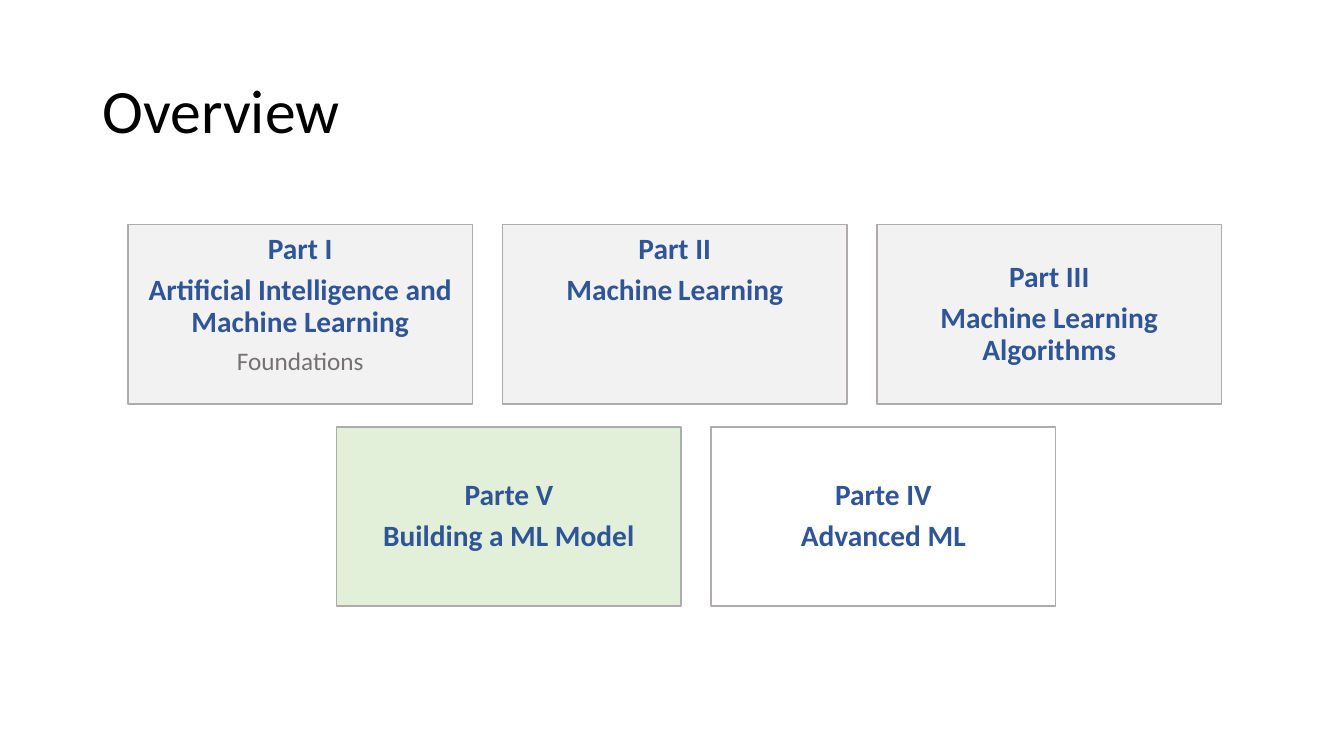
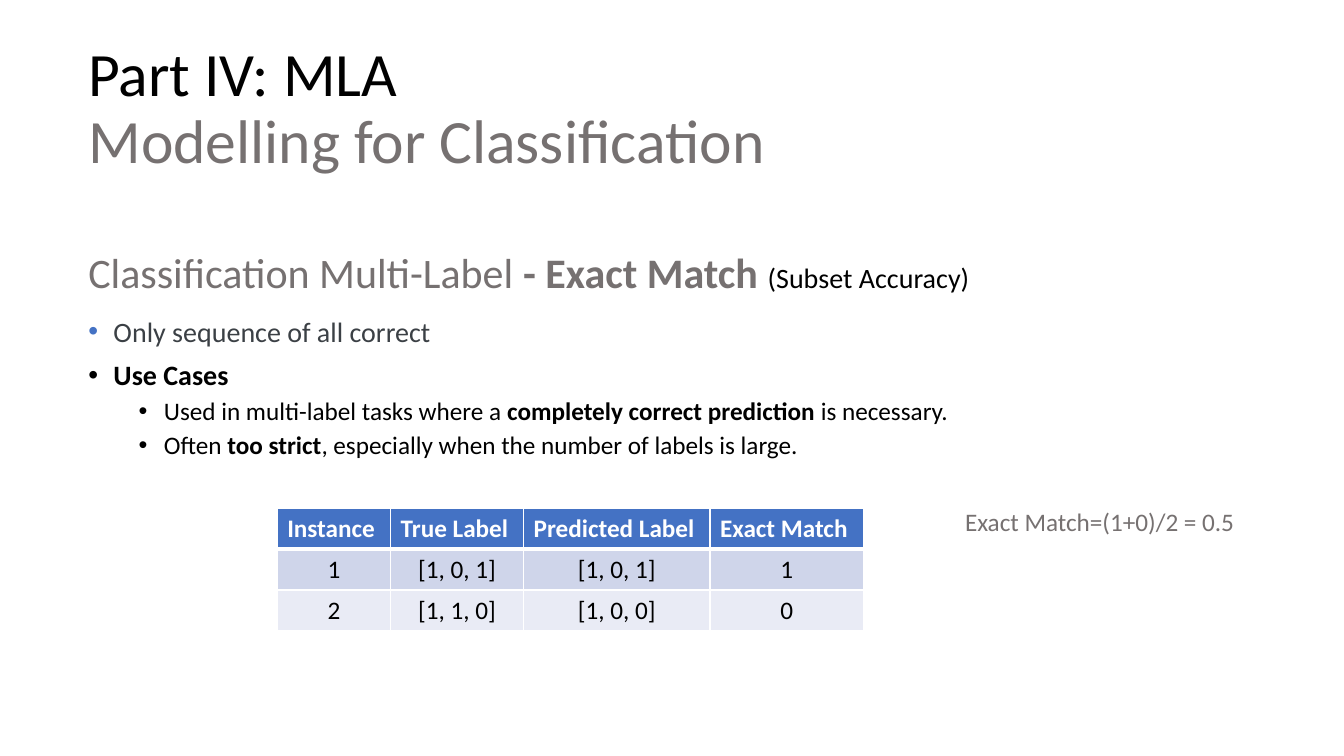
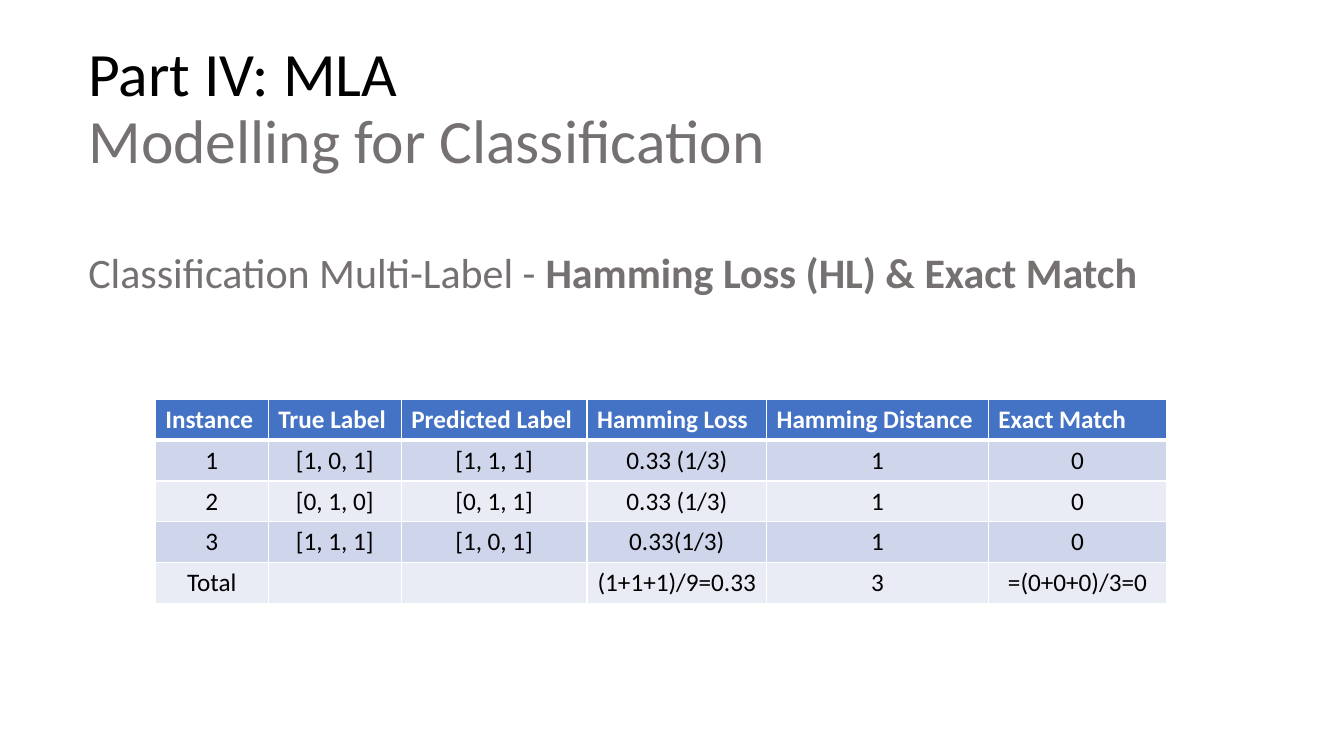
from lxml import etree
from pptx import Presentation
from pptx.dml.color import RGBColor
from pptx.enum.shapes import MSO_SHAPE
from pptx.enum.text import MSO_ANCHOR, MSO_AUTO_SIZE, PP_ALIGN
from pptx.oxml.ns import qn
from pptx.util import Pt

LEFT, CENTER = PP_ALIGN.LEFT, PP_ALIGN.CENTER
TOP, MIDDLE = MSO_ANCHOR.TOP, MSO_ANCHOR.MIDDLE
RECTANGLE = MSO_SHAPE.RECTANGLE
NO_AUTOFIT = MSO_AUTO_SIZE.NONE
TITLE_ONLY = 5

FONT = "Calibri"
BLACK, WHITE, GRAY, CHARCOAL = "000000", "FFFFFF", "767171", "3B4045"
NAVY, BLUE, BORDER = "2F5597", "4472C4", "AFABAB"
PALE_GRAY, PALE_GREEN = "F2F2F2", "E2F0D9"
BAND_COLORS = ["E9EBF5", "CFD5EA"]

rgb = RGBColor.from_string


def start_para(frame, align=LEFT, line_spacing=1.0, before=0, after=0):
    """Return the frame's first paragraph while it is empty, else a new one."""
    last = frame.paragraphs[-1]
    para = frame.add_paragraph() if last.runs else last
    para.alignment = align
    para.line_spacing = line_spacing
    para.space_before, para.space_after = Pt(before), Pt(after)
    return para


def add_span(para, text, size, color, bold=False):
    span = para.add_run()
    span.text = text
    span.font.name = FONT
    span.font.size = Pt(size)
    span.font.bold = bold
    span.font.color.rgb = rgb(color)


deck = Presentation()
deck.slide_width, deck.slide_height = Pt(960), Pt(540)

# Pages and titles
PART_TITLE = [("Part IV: MLA", BLACK), ("Modelling for Classification", GRAY)]
TITLES = [
    ((66, 28.8, 828, 104.4), [("Overview", BLACK)]),
    ((56, 4.3, 828, 148.3), PART_TITLE),
    ((56, 4.3, 828, 148.3), PART_TITLE),
]
pages = []
for place, lines in TITLES:
    page = deck.slides.add_slide(deck.slide_layouts[TITLE_ONLY])
    pages.append(page)
    title = page.shapes.title
    title.left, title.top, title.width, title.height = map(Pt, place)
    frame = title.text_frame
    frame.auto_size = NO_AUTOFIT
    frame.vertical_anchor = MIDDLE
    para = start_para(frame, line_spacing=0.9)
    for index, (text, color) in enumerate(lines):
        if index:
            para.add_line_break()
        add_span(para, text, 44, color)

overview, exact_match, hamming = pages

# Overview: cards in two rows
CARD_WIDTH, CARD_HEIGHT, CARD_PITCH = 246, 128, 267.5
HEADING, DETAIL = (21, NAVY, True), (18, GRAY, False)
CARD_ROWS = [
    (91.5, 160.5, [
        (PALE_GRAY, TOP, [
            [("Part I", HEADING)],
            [("Artificial Intelligence and Machine Learning", HEADING)],
            [("Foundations", DETAIL)],
        ]),
        (PALE_GRAY, TOP, [
            [("Part II", HEADING)],
            [("Machine", HEADING), (" ", DETAIL), ("Learning", HEADING)],
        ]),
        (PALE_GRAY, MIDDLE, [
            [("Part III", HEADING)],
            [("Machine Learning Algorithms", HEADING)],
        ]),
    ]),
    (240.5, 305, [
        (PALE_GREEN, MIDDLE, [
            [("Parte V", HEADING)], [("Building a ML Model", HEADING)],
        ]),
        (WHITE, MIDDLE, [
            [("Parte IV", HEADING)], [("Advanced ML", HEADING)],
        ]),
    ]),
]
for left, top, cards in CARD_ROWS:
    for column, (fill, anchor, lines) in enumerate(cards):
        card = overview.shapes.add_shape(
            RECTANGLE, Pt(left + column * CARD_PITCH), Pt(top),
            Pt(CARD_WIDTH), Pt(CARD_HEIGHT))
        card.shadow.inherit = False
        card.fill.solid()
        card.fill.fore_color.rgb = rgb(fill)
        card.line.color.rgb = rgb(BORDER)
        card.line.width = Pt(1)
        frame = card.text_frame
        frame.word_wrap = True
        frame.vertical_anchor = anchor
        frame.margin_left = frame.margin_right = Pt(6)
        frame.margin_top = frame.margin_bottom = Pt(6.5)
        for spans in lines:
            para = start_para(frame, CENTER, 0.9, after=7)
            for text, style in spans:
                add_span(para, text, *style)

# Body text: line spacing, space before, left margin, bullet colour, spans
BODIES = [
    (exact_match, [
        (2.0, 0, 0, None, [
            ("Classification Multi-Label ", 30, GRAY),
            ("- Exact Match ", 30, GRAY, True),
            ("(Subset Accuracy)", 20, BLACK),
        ]),
        (1.5, 0, 18, BLUE, [("Only sequence of all correct", 20, CHARCOAL)]),
        (0.9, 10, 18, BLACK, [("Use Cases", 20, BLACK, True)]),
        (0.9, 5, 54, BLACK, [
            ("Used in multi-label tasks where a ", 18, BLACK),
            ("completely correct prediction", 18, BLACK, True),
            (" is necessary.", 18, BLACK),
        ]),
        (0.9, 5, 54, BLACK, [
            ("Often ", 18, BLACK),
            ("too strict", 18, BLACK, True),
            (", especially when the number of labels is large.", 18, BLACK),
        ]),
    ]),
    (hamming, [
        (2.0, 0, 0, None, [
            ("Classification Multi-Label - ", 30, GRAY),
            ("Hamming Loss (HL) & Exact Match", 30, GRAY, True),
        ]),
    ]),
]
for page, lines in BODIES:
    body = page.shapes.add_textbox(Pt(56), Pt(136.8), Pt(828), Pt(367.2))
    body.text_frame.word_wrap = True
    for line_spacing, before, margin, bullet_color, spans in lines:
        para = start_para(body.text_frame, LEFT, line_spacing, before)
        for span in spans:
            add_span(para, *span)
        if bullet_color:
            properties = para._p.get_or_add_pPr()
            properties.set("marL", str(Pt(margin)))
            properties.set("indent", str(Pt(-18)))
            color = etree.SubElement(properties, qn("a:buClr"))
            etree.SubElement(color, qn("a:srgbClr"), val=bullet_color)
            etree.SubElement(properties, qn("a:buFont"), typeface="Arial")
            etree.SubElement(properties, qn("a:buChar"), char="•")

# Tables
ROW_HEIGHT = 29.2
TABLES = [
    (exact_match, 198, 363, [81, 95, 133.2, 109.6], [
        ["Instance", "True Label", "Predicted Label", "Exact Match"],
        ["1", "[1, 0, 1]", "[1, 0, 1]", "1"],
        ["2", "[1, 1, 0]", "[1, 0, 0]", "0"],
    ]),
    (hamming, 111, 285.2, [80.6, 95, 132.8, 128.2, 158.4, 127.4], [
        ["Instance", "True Label", "Predicted Label", "Hamming Loss",
         "Hamming Distance", "Exact Match"],
        ["1", "[1, 0, 1]", "[1, 1, 1]", "0.33 (1/3)", "1", "0"],
        ["2", "[0, 1, 0]", "[0, 1, 1]", "0.33 (1/3)", "1", "0"],
        ["3", "[1, 1, 1]", "[1, 0, 1]", "0.33(1/3)", "1", "0"],
        ["Total", "", "", "(1+1+1)/9=0.33", "3", "=(0+0+0)/3=0"],
    ]),
]
for page, left, top, widths, rows in TABLES:
    table = page.shapes.add_table(
        len(rows), len(widths), Pt(left), Pt(top),
        Pt(sum(widths)), Pt(ROW_HEIGHT * len(rows))).table
    for column, width in zip(table.columns, widths):
        column.width = Pt(width)
    for row_index, texts in enumerate(rows):
        is_header = row_index == 0
        table.rows[row_index].height = Pt(ROW_HEIGHT)
        edges = {"a:lnL": 1, "a:lnR": 1,
                 "a:lnT": 3 if row_index == 1 else 1,
                 "a:lnB": 3 if is_header else 1}
        for column_index, text in enumerate(texts):
            cell = table.cell(row_index, column_index)
            properties = cell._tc.get_or_add_tcPr()
            for edge, weight in edges.items():
                line = etree.SubElement(properties, qn(edge), w=str(Pt(weight)))
                fill = etree.SubElement(line, qn("a:solidFill"))
                etree.SubElement(fill, qn("a:srgbClr"), val=WHITE)
            cell.fill.solid()
            cell.fill.fore_color.rgb = rgb(
                BLUE if is_header else BAND_COLORS[row_index % 2])
            if text:
                para = start_para(cell.text_frame, LEFT if is_header else CENTER)
                add_span(para, text, 18, WHITE if is_header else BLACK, is_header)

# Worked result beside the exact match table
result = exact_match.shapes.add_textbox(Pt(666.7), Pt(357.8), Pt(237.6), Pt(29))
result.text_frame.word_wrap = True
para = start_para(result.text_frame, CENTER)
add_span(para, "Exact Match=(1+0)/2 = 0.5", 18, GRAY)

deck.save("out.pptx")
